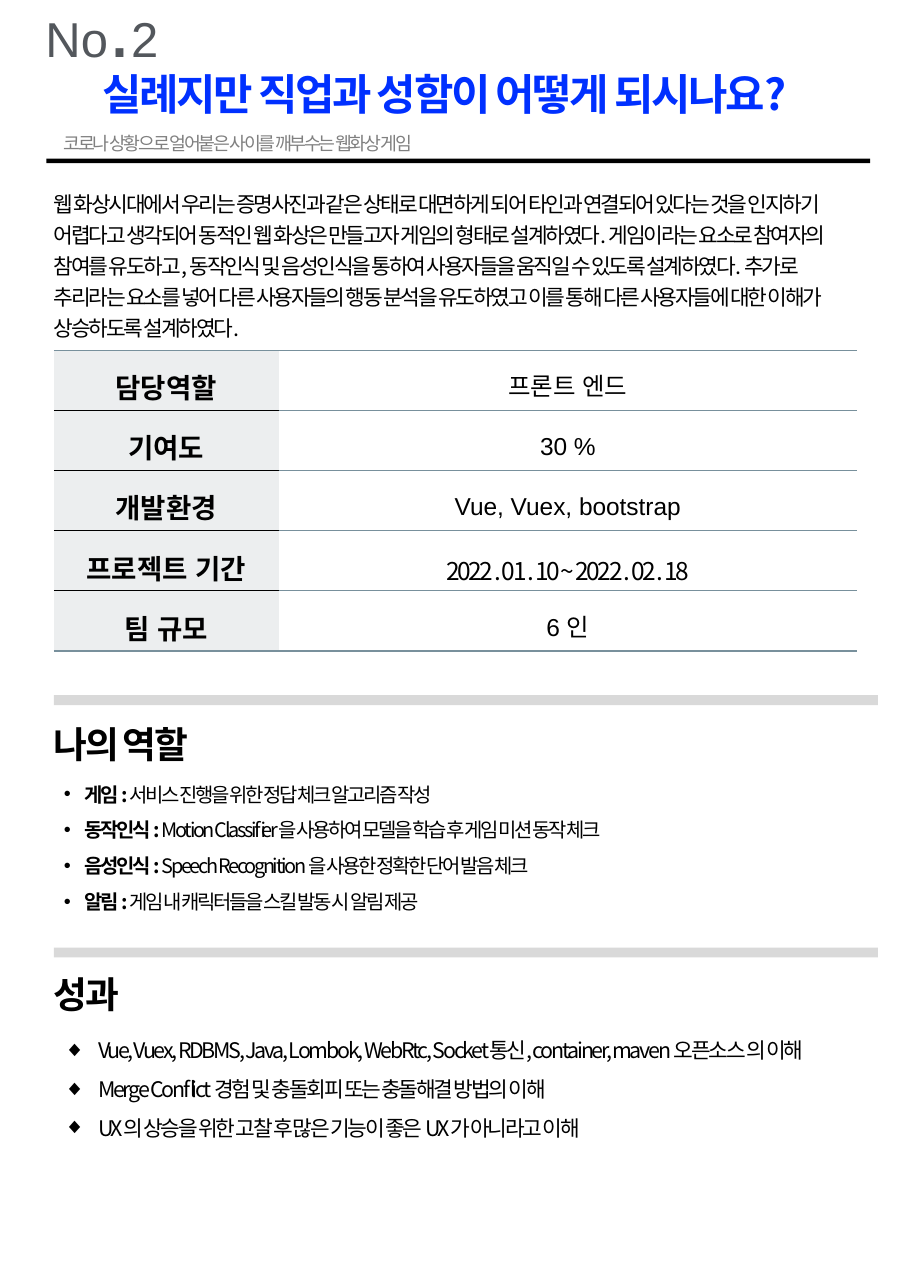
from dataclasses import dataclass

from lxml.etree import SubElement
from pptx import Presentation
from pptx.dml.color import RGBColor
from pptx.enum.shapes import MSO_SHAPE
from pptx.enum.text import MSO_ANCHOR, PP_ALIGN
from pptx.oxml.ns import qn
from pptx.util import Inches, Pt

COLORS = {
    "black": "000000", "title": "0030FF", "subtitle": "808080", "number": "53575C",
    "divider": "D9D9D9", "label": "ECEEEF", "white": "FFFFFF", "rule": "78909C",
}
NOTO = "Noto Sans CJK KR"
LEFT, INDENT = 0.49, 0.58


@dataclass
class Style:
    size: float
    font: str = NOTO
    color: str = "black"
    bold: bool = False
    spacing: float = -1.5


@dataclass
class Bar:
    left: float
    top: float
    height: float
    color: str


@dataclass
class TextBlock:
    left: float
    top: float
    width: float
    height: float
    text: str
    style: Style
    line_spacing: float


@dataclass
class BulletList:
    top: float
    indent: float
    symbol: str
    items: list[list[tuple[str, Style]]]


def rgb(name: str) -> RGBColor:
    return RGBColor.from_string(COLORS[name])


def add_run(paragraph, text: str, style: Style) -> None:
    run = paragraph.add_run()
    run.text = text
    run.font.size = Pt(style.size)
    run.font.name = style.font
    run.font.bold = style.bold
    run.font.color.rgb = rgb(style.color)
    properties = run._r.get_or_add_rPr()
    properties.set("spc", str(int(style.spacing * 100)))
    SubElement(properties, qn("a:ea")).set("typeface", style.font)


def place(shape, left: float, top: float, width: float, height: float) -> None:
    shape.left, shape.top = Inches(left), Inches(top)
    shape.width, shape.height = Inches(width), Inches(height)


def clear_insets(frame) -> None:
    frame.word_wrap = True
    frame.margin_left = frame.margin_right = frame.margin_top = frame.margin_bottom = 0


def add_frame(slide, left: float, top: float, width: float, height: float):
    box = slide.shapes.add_textbox(
        Inches(left), Inches(top), Inches(width), Inches(height))
    clear_insets(box.text_frame)
    return box.text_frame


def add_block(slide, block: TextBlock) -> None:
    frame = add_frame(slide, block.left, block.top, block.width, block.height)
    paragraph = frame.paragraphs[0]
    paragraph.line_spacing = block.line_spacing
    add_run(paragraph, block.text, block.style)


def add_bar(slide, bar: Bar) -> None:
    shape = slide.shapes.add_shape(
        MSO_SHAPE.RECTANGLE, Inches(bar.left), Inches(bar.top),
        Inches(7.48), Inches(bar.height))
    shape.shadow.inherit = False
    shape.fill.solid()
    shape.fill.fore_color.rgb = rgb(bar.color)
    shape.line.fill.background()


def add_bullets(slide, bullets: BulletList) -> None:
    frame = add_frame(slide, INDENT, bullets.top, 7.31, 1.41)
    for index, item in enumerate(bullets.items):
        paragraph = frame.add_paragraph() if index else frame.paragraphs[0]
        paragraph.line_spacing = 1.5
        properties = paragraph._p.get_or_add_pPr()
        properties.set("marL", str(Inches(bullets.indent)))
        properties.set("indent", str(-Inches(bullets.indent)))
        color = SubElement(properties, qn("a:buClr"))
        SubElement(color, qn("a:srgbClr")).set("val", COLORS["black"])
        SubElement(properties, qn("a:buFont")).set("typeface", "Arial")
        SubElement(properties, qn("a:buChar")).set("char", bullets.symbol)
        for text, style in item:
            add_run(paragraph, text, style)


def set_borders(cell, top: str, bottom: str) -> None:
    properties = cell._tc.get_or_add_tcPr()
    edges = [("a:lnL", None), ("a:lnR", None), ("a:lnT", top), ("a:lnB", bottom)]
    for index, (tag, color) in enumerate(edges):
        line = properties.makeelement(qn(tag), {"w": str(Pt(1))})
        properties.insert(index, line)
        if color:
            fill = SubElement(line, qn("a:solidFill"))
            SubElement(fill, qn("a:srgbClr")).set("val", COLORS[color])
        else:
            SubElement(line, qn("a:noFill"))


def add_facts(slide, facts: list[tuple[str, str, Style]]) -> None:
    table = slide.shapes.add_table(
        len(facts), 2, Inches(LEFT), Inches(3.18), Inches(7.29), Inches(2.73)).table
    table.first_row = table.horz_banding = False
    table.columns[0].width, table.columns[1].width = Inches(2.04), Inches(5.25)
    label_style = Style(18, "Montserrat", bold=True, spacing=0)
    last = len(facts) - 1
    for row, (label, value, value_style) in enumerate(facts):
        inner = [(label, label_style, "label", "black"),
                 (value, value_style, "white", "rule")]
        for column, (text, style, fill, line) in enumerate(inner):
            cell = table.cell(row, column)
            cell.margin_top = cell.margin_bottom = 0
            cell.vertical_anchor = MSO_ANCHOR.MIDDLE
            cell.fill.solid()
            cell.fill.fore_color.rgb = rgb(fill)
            set_borders(cell, line if row else "rule", line if row < last else "rule")
            paragraph = cell.text_frame.paragraphs[0]
            paragraph.alignment = PP_ALIGN.CENTER
            paragraph.line_spacing = 1.5
            add_run(paragraph, text, style)


def main() -> None:
    presentation = Presentation()
    presentation.slide_width, presentation.slide_height = Inches(8.27), Inches(11.69)
    slide = presentation.slides.add_slide(presentation.slide_layouts[5])

    # Title
    title = slide.shapes.title
    place(title, 0.39, 0.61, 7.29, 0.9)
    clear_insets(title.text_frame)
    title.text_frame.vertical_anchor = MSO_ANCHOR.TOP
    heading = title.text_frame.paragraphs[0]
    heading.alignment = PP_ALIGN.CENTER
    add_run(heading, "실례지만 직업과 성함이 어떻게 되시나요?", Style(28, color="title", bold=True))

    # Header rule and section dividers
    for bar in [Bar(0.42, 1.44, 0.04, "black"), Bar(LEFT, 6.31, 0.09, "divider"),
                Bar(LEFT, 8.6, 0.09, "divider")]:
        add_bar(slide, bar)

    # Subtitle, introduction and section headings
    intro = (
        "웹 화상시대에서 우리는 증명사진과 같은 상태로 대면하게 되어 타인과 연결되어 있다는 것을 인지하기 "
        "어렵다고 생각되어 동적인 웹 화상은 만들고자 게임의 형태로 설계하였다. 게임이라는 요소로 참여자의 "
        "참여를 유도하고, 동작인식 및 음성인식을 통하여 사용자들을 움직일 수 있도록 설계하였다. 추가로 "
        "추리라는 요소를 넣어 다른 사용자들의 행동 분석을 유도하였고 이를 통해 다른 사용자들에 대한 이해가 "
        "상승하도록 설계하였다.")
    section = Style(24, bold=True)
    for block in [
        TextBlock(INDENT, 1.16, 5.9, 0.25, "코로나 상황으로 얼어붙은 사이를 깨부수는 웹화상 게임",
                  Style(12, color="subtitle"), 1.2),
        TextBlock(LEFT, 1.69, 7.29, 0.89, intro, Style(14), 1.2),
        TextBlock(LEFT, 6.49, 5.9, 0.31, "나의 역할", section, 1.15),
        TextBlock(LEFT, 8.76, 5.9, 0.31, "성과", section, 1.15),
    ]:
        add_block(slide, block)

    # Project facts
    plain = Style(16, "Arial", spacing=0)
    add_facts(slide, [
        ("담당역할", "프론트 엔드", plain),
        ("기여도", "30 %", plain),
        ("개발환경", "Vue, Vuex, bootstrap", plain),
        ("프로젝트 기간", "2022 . 01 . 10 ~ 2022 . 02 . 18", Style(16)),
        ("팀 규모", "6 인", plain),
    ])

    # Roles and results
    roles = [
        ("게임 : ", "서비스 진행을 위한 정답 체크 알고리즘 작성"),
        ("동작인식 : ", "Motion Classifier을 사용하여 모델을 학습 후 게임 미션 동작 체크"),
        ("음성인식 : ", "Speech Recognition 을 사용한 정확한 단어 발음 체크"),
        ("알림 : ", "게임 내 캐릭터들을 스킬 발동 시 알림 제공"),
    ]
    results = [
        "Vue, Vuex, RDBMS, Java, Lombok, WebRtc, Socket통신, container, maven 오픈소스 의 이해",
        "Merge Conflict 경험 및 충돌회피 또는 충돌해결 방법의 이해",
        "UX의 상승을 위한 고찰 후 많은 기능이 좋은 UX가 아니라고 이해",
    ]
    add_bullets(slide, BulletList(6.99, 0.19, "•", [
        [(name, Style(13, bold=True)), (detail, Style(13))] for name, detail in roles]))
    add_bullets(slide, BulletList(9.3, 0.31, "◆", [
        [(result, Style(14))] for result in results]))

    # Project number
    number = slide.shapes.add_textbox(
        Inches(0.28), Inches(-0.28), Inches(1.29), Inches(1.01)).text_frame
    number.word_wrap = True
    number.paragraphs[0].alignment = PP_ALIGN.CENTER
    for text, size in [("No", 32), (".", 54), ("2", 32)]:
        add_run(number.paragraphs[0], text, Style(size, "Arial", "number", spacing=0))

    presentation.save("out.pptx")


if __name__ == "__main__":
    main()
